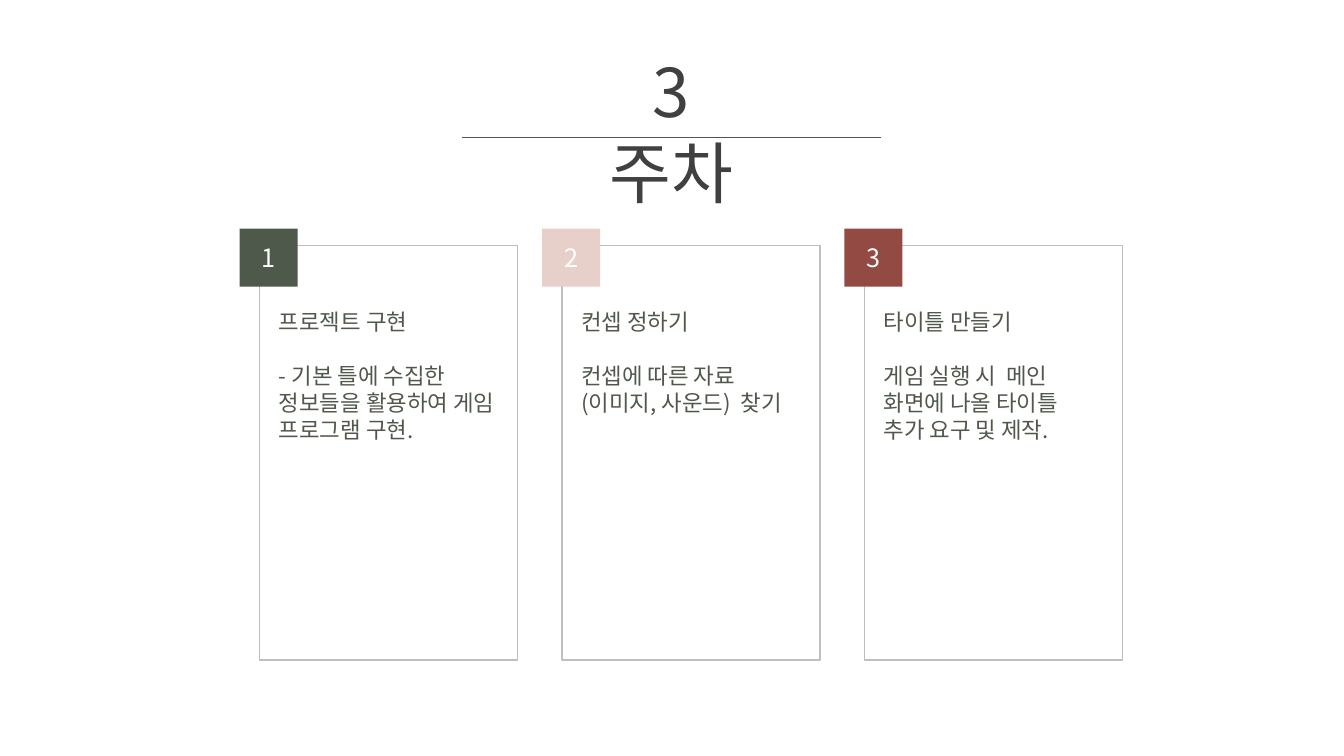
from lxml.etree import SubElement
from pptx import Presentation
from pptx.dml.color import RGBColor
from pptx.enum.shapes import MSO_CONNECTOR, MSO_SHAPE
from pptx.enum.text import MSO_ANCHOR, MSO_AUTO_SIZE, PP_ALIGN
from pptx.oxml.ns import qn
from pptx.util import Pt

FONT = "Noto Sans CJK KR"
GREEN = RGBColor(0x4F, 0x59, 0x4B)
PINK = RGBColor(0xE7, 0xD0, 0xCA)
RED = RGBColor(0x93, 0x4A, 0x43)
GRAY = RGBColor(0xBF, 0xBF, 0xBF)
DARK = RGBColor(0x40, 0x40, 0x40)
WHITE = RGBColor(0xFF, 0xFF, 0xFF)

CARDS = [
    (GREEN, "프로젝트 구현", "- 기본 틀에 수집한 정보들을 활용하여 게임 프로그램 구현."),
    (PINK, "컨셉 정하기", "컨셉에 따른 자료(이미지, 사운드)  찾기"),
    (RED, "타이틀 만들기", "게임 실행 시  메인 화면에 나올 타이틀  추가 요구 및 제작."),
]


def style(para, size, color, align=PP_ALIGN.LEFT):
    font = para.font
    font.name, font.size, font.color.rgb = FONT, Pt(size), color
    para.alignment = align
    for run in para.runs:
        props = run.font
        props.name = FONT
        SubElement(run._r.get_or_add_rPr(), qn("a:ea"), typeface=FONT)


def add_title(slide, left, top, width, height):
    """Place the title across a thin rule that is wider than its text."""
    title = slide.shapes.title
    inset = (width - 108) / 2
    title.left, title.top = Pt(left + inset), Pt(top)
    title.width, title.height = Pt(width - 2 * inset), Pt(height)
    frame = title.text_frame
    frame.text = "3주차"
    frame.word_wrap = True
    frame.auto_size = MSO_AUTO_SIZE.NONE
    frame.vertical_anchor = MSO_ANCHOR.TOP
    style(frame.paragraphs[0], 48, DARK, PP_ALIGN.CENTER)
    y = Pt(top + 65.5)
    rule = slide.shapes.add_connector(
        MSO_CONNECTOR.STRAIGHT, Pt(left), y, Pt(left + width), y)
    rule.line.color.rgb, rule.line.width = GREEN, Pt(0.5)
    SubElement(rule._element.spPr, qn("a:effectLst"))


def add_rect(slide, left, top, width, height):
    rect = slide.shapes.add_shape(
        MSO_SHAPE.RECTANGLE, Pt(left), Pt(top), Pt(width), Pt(height))
    rect.shadow.inherit = False
    return rect


def add_card(slide, left, top, width, height, num, color, head, body):
    """Draw a framed card with a numbered badge over its top left corner."""
    frame = add_rect(slide, left, top, width, height)
    frame.fill.background()
    frame.line.color.rgb, frame.line.width = GRAY, Pt(1)

    badge = add_rect(slide, left - 14.2, top - 12.2, 41.4, 41.4)
    badge.fill.solid()
    badge.fill.fore_color.rgb = color
    badge.line.fill.background()
    text = badge.text_frame
    text.text = str(num)
    text.vertical_anchor = MSO_ANCHOR.MIDDLE
    style(text.paragraphs[0], 18, WHITE, PP_ALIGN.CENTER)

    box = slide.shapes.add_textbox(
        Pt(left + 6.7), Pt(top + 41), Pt(width - 16), Pt(104.4))
    text = box.text_frame
    text.word_wrap = True
    text.text = head + "\n" + body
    for para in text.paragraphs:
        style(para, 16, GREEN)
    text.paragraphs[0].space_after = Pt(19.4)


def main():
    deck = Presentation()
    deck.slide_width, deck.slide_height = Pt(960), Pt(540)
    slide = deck.slides.add_slide(deck.slide_layouts[5])
    add_title(slide, 330.2, 32.4, 299, 122)
    for i, card in enumerate(CARDS):
        add_card(slide, 185.4 + 216 * i, 175.5, 184.4, 296, i + 1, *card)
    deck.save("out.pptx")


if __name__ == "__main__":
    main()
